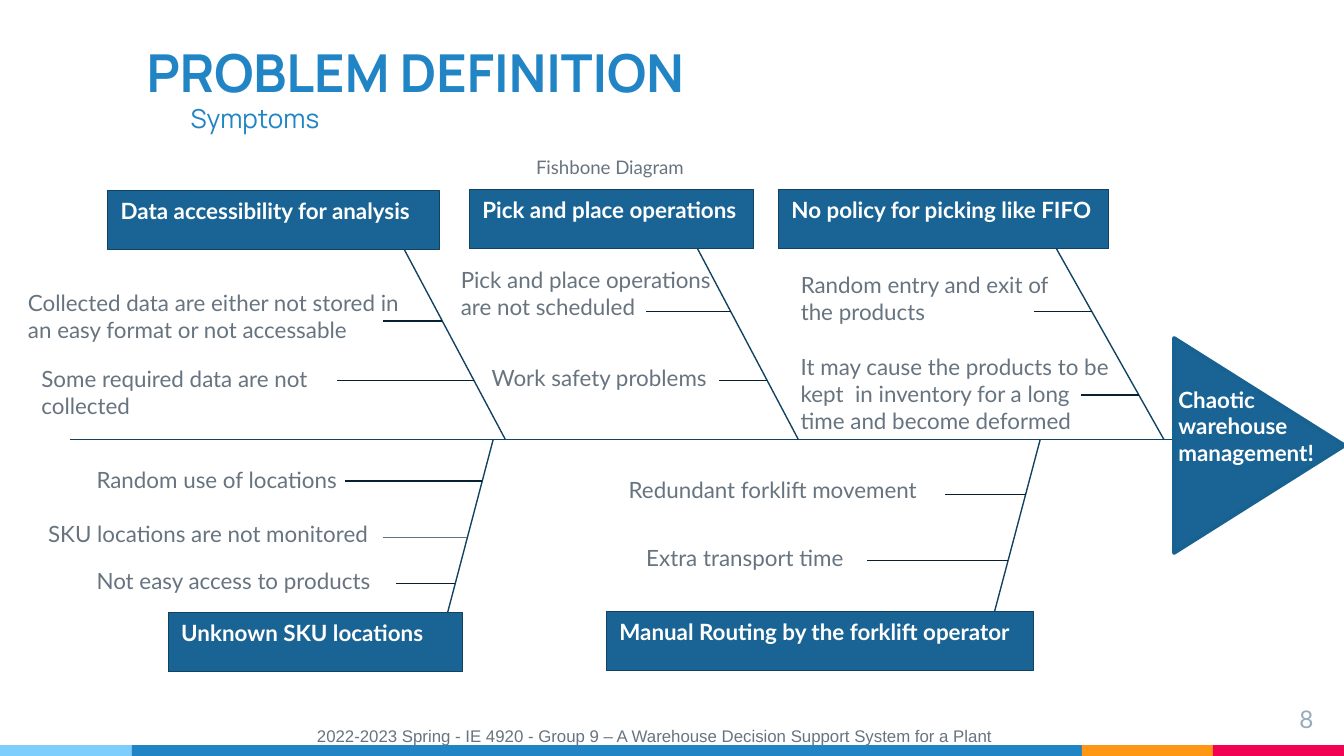
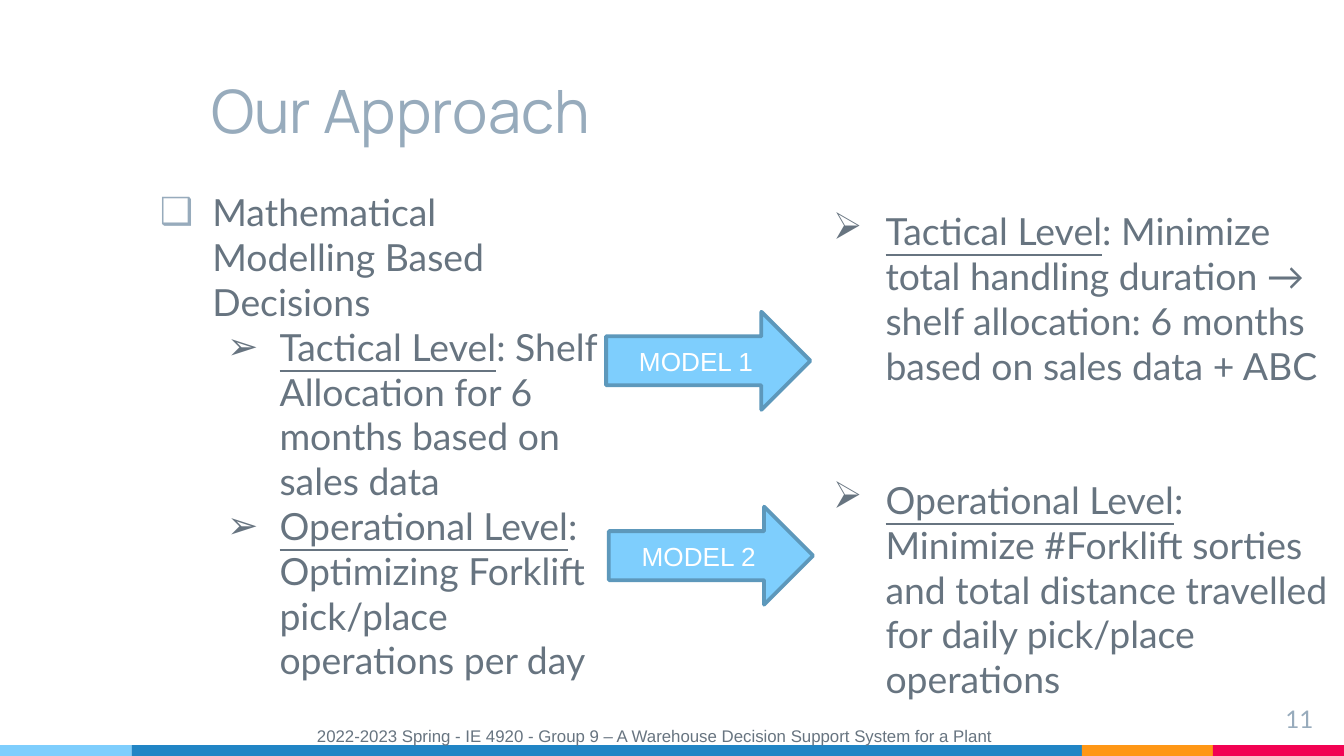
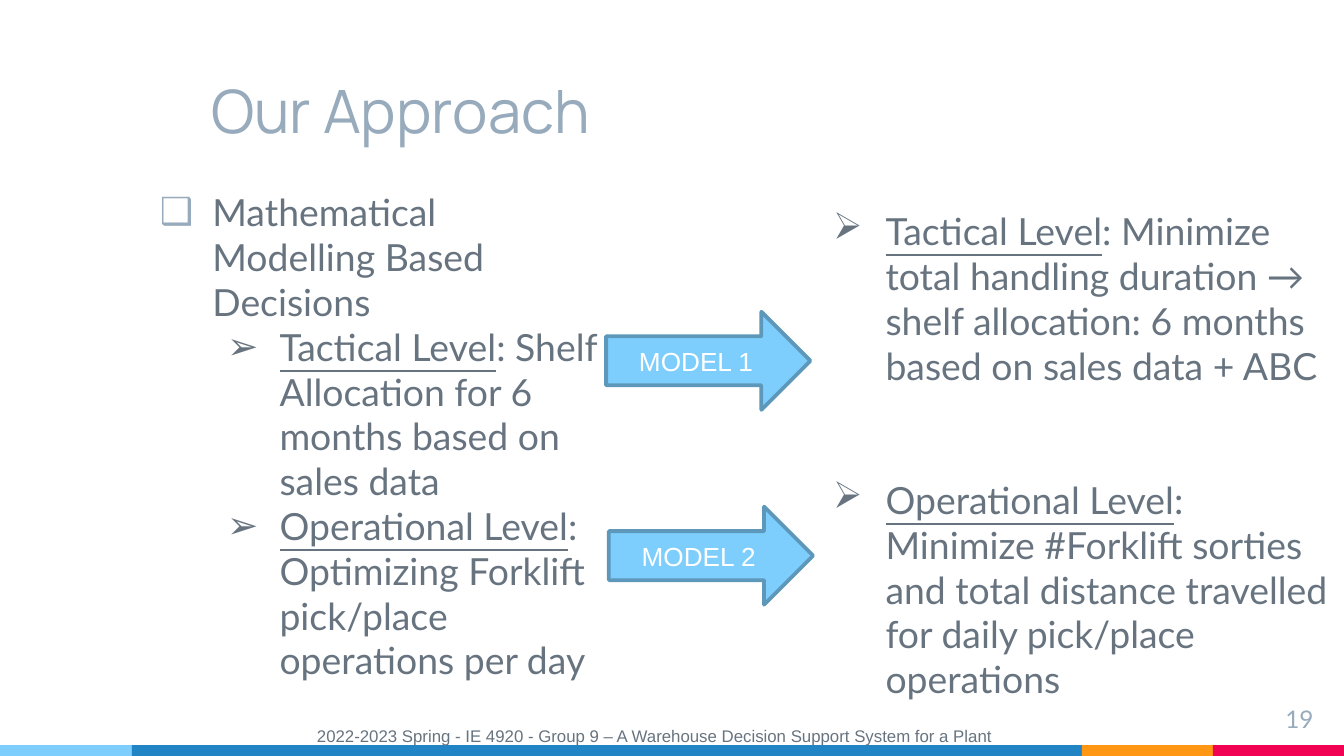
import typing

import lxml.etree
import pptx
import pptx.dml.color
import pptx.enum.shapes
import pptx.enum.text
import pptx.oxml.ns
import pptx.util

RGB = pptx.dml.color.RGBColor
SHAPE = pptx.enum.shapes.MSO_SHAPE
ALIGN = pptx.enum.text.PP_ALIGN
ANCHOR = pptx.enum.text.MSO_ANCHOR
FIT = pptx.enum.text.MSO_AUTO_SIZE

BLUE = RGB(0x21, 0x85, 0xC5)
SKY = RGB(0x7E, 0xCE, 0xFD)
ORANGE = RGB(0xFF, 0x97, 0x15)
PINK = RGB(0xF2, 0x02, 0x53)
NAVY = RGB(0x19, 0x64, 0x94)
NAVY_EDGE = RGB(0x18, 0x62, 0x92)
BONE = RGB(0x11, 0x42, 0x62)
TWIG = RGB(0x08, 0x21, 0x31)
ARROW_EDGE = RGB(0x5D, 0x98, 0xBB)
GREY = RGB(0x67, 0x74, 0x80)
DARK_GREY = RGB(0x64, 0x71, 0x7E)
PALE = RGB(0x97, 0xAB, 0xBC)
WHITE = RGB(0xFF, 0xFF, 0xFF)

SLIDE_WIDTH = pptx.util.Inches(10)
SLIDE_HEIGHT = pptx.util.Inches(5.625)
CELL = SLIDE_WIDTH / 100
ROWS = SLIDE_HEIGHT / CELL
BAND_HEIGHT = 0.8
SPINE_ROW = 32.7
HEAD_HEIGHT = 4.4
LIST_SIZE = 20
FOOTER = "2022-2023 Spring - IE 4920 - Group 9 – A Warehouse Decision Support System for a Plant"


class Cause(typing.NamedTuple):
    text: str
    left: float
    top: float
    width: float
    lines: int
    twig_left: float
    twig_row: float
    twig_color: RGB = TWIG


class Branch(typing.NamedTuple):
    label: str
    left: float
    top: float
    width: float
    root: float
    joint: float
    causes: list


BRANCHES = [
    Branch("Data accessibility for analysis", 8, 14.2, 24.7, 30.1, 37.6, [
        Cause("Collected data are either not stored in an easy format or not accessable",
              1.1, 21, 30.2, 2, 28.5, 23.9),
        Cause("Some required data are not collected", 2.1, 26.7, 22.9, 2, 25.1, 28.3),
    ]),
    Branch("Pick and place operations", 34.9, 14.1, 21.2, 51.9, 59.4, [
        Cause("Pick and place operations\nare not scheduled", 33.3, 19.3, 21.2, 2, 48.1, 23.2),
        Cause("Work safety problems", 35.6, 26.6, 19.4, 1, 53.5, 28.3),
    ]),
    Branch("No policy for picking like FIFO", 57.9, 14.1, 24.6, 78.6, 86.6, [
        Cause("Random entry and exit of the products", 58.6, 19.7, 22.8, 2, 76.9, 23.2),
        Cause("It may cause the products to be kept  in inventory for a long time and become deformed",
              58.6, 25.8, 25.6, 3, 80.4, 29.4),
    ]),
    Branch("Unknown SKU locations", 12.5, 45.6, 21.9, 33.3, 36.7, [
        Cause("Random use of locations", 6.2, 34.2, 20.7, 1, 25.7, 35.8),
        Cause("SKU locations are not monitored", 2.6, 38.2, 26.4, 1, 28.5, 40, DARK_GREY),
        Cause("Not easy access to products", 6.2, 41.7, 22.9, 1, 29.5, 43.4),
    ]),
    Branch("Manual Routing by the forklift operator", 45.1, 45.5, 31.8, 74, 77.4, [
        Cause("Redundant forklift movement", 45.8, 34.9, 25.6, 1, 70.3, 36.8),
        Cause("Extra transport time", 47.1, 40, 16.9, 1, 64.5, 41.7),
    ]),
]

DECISIONS = [
    ("Tactical Level", ": Shelf Allocation for 6 months based on sales data"),
    ("Operational Level", ": Optimizing Forklift pick/place operations per day"),
]
MODELS = [
    ("Tactical Level",
     ": Minimize total handling duration → shelf allocation: 6 months based on sales data + ABC"),
    ("Operational Level",
     ": Minimize #Forklift sorties and total distance travelled for daily pick/place operations"),
]


def cells(*lengths):
    return [pptx.util.Emu(round(length * CELL)) for length in lengths]


def style(paragraph, size, color, font="Lato", bold=False, align=ALIGN.LEFT):
    paragraph.alignment = align
    paragraph.space_before = pptx.util.Pt(0)
    paragraph.font.size = pptx.util.Pt(size)
    paragraph.font.name = font
    paragraph.font.bold = bold
    paragraph.font.color.rgb = color


def fill_text(frame, text, size, color, **look):
    frame.text = text
    for paragraph in frame.paragraphs:
        style(paragraph, size, color, **look)


def set_insets(frame, side=1, top=1):
    frame.margin_left, frame.margin_right, frame.margin_top, frame.margin_bottom = cells(
        side, side, top, 1)


def add_label(slide, place, text, size, color, wrap=True, roomy=False, **look):
    frame = slide.shapes.add_textbox(*cells(*place)).text_frame
    frame.word_wrap = wrap
    if roomy:
        set_insets(frame)
    else:
        frame.auto_size = FIT.SHAPE_TO_FIT_TEXT
    fill_text(frame, text, size, color, **look)


def add_block(slide, kind, place, fill, edge=None, edge_width=0.5):
    block = slide.shapes.add_shape(kind, *cells(*place))
    block.shadow.inherit = False
    block.fill.solid()
    block.fill.fore_color.rgb = fill
    if edge is None:
        block.line.fill.background()
    else:
        block.line.color.rgb = edge
        block.line.width = pptx.util.Pt(edge_width)
    return block


def add_line(slide, start, end, color):
    line = slide.shapes.add_connector(
        pptx.enum.shapes.MSO_CONNECTOR.STRAIGHT, *cells(*start, *end))
    line.line.color.rgb = color
    line.line.width = pptx.util.Pt(0.75)
    lxml.etree.SubElement(line._element.spPr, pptx.oxml.ns.qn("a:effectLst"))


def add_bands(prs, slide):
    tree = prs.slide_master.element.cSld.spTree
    left = 0
    for width, color in ((9.8, SKY), (70.7, BLUE), (9.75, ORANGE), (9.75, PINK)):
        band = add_block(slide, SHAPE.RECTANGLE,
                         (left, ROWS - BAND_HEIGHT, width, BAND_HEIGHT), color)
        tree.append(band._element)
        left += width


def place_holder(holder, place):
    holder.left, holder.top, holder.width, holder.height = cells(*place)
    frame = holder.text_frame
    frame.auto_size = FIT.NONE
    frame.word_wrap = True
    set_insets(frame)
    return frame


def start_slide(prs, layout, title, left, top, number, size, color, bold=False):
    slide = prs.slides.add_slide(prs.slide_layouts[layout])
    frame = place_holder(slide.shapes.title, (left, top, 70.7, 9.4))
    frame.vertical_anchor = ANCHOR.BOTTOM
    fill_text(frame, title, size, color, font="Manrope", bold=bold)
    add_label(slide, (92.7, 51.4, 6, 3.4), str(number), 13, PALE, roomy=True, align=ALIGN.RIGHT)
    add_label(slide, (22.6, 53.5, 54.8, 2.5), FOOTER, 9, GREY, font="Arial")
    return slide


def add_branch(slide, branch):
    above = branch.top < SPINE_ROW
    root_row = branch.top + HEAD_HEIGHT if above else branch.top
    head = add_block(slide, SHAPE.RECTANGLE,
                     (branch.left, branch.top, branch.width, HEAD_HEIGHT), NAVY, BONE)
    head.text_frame.vertical_anchor = ANCHOR.TOP
    fill_text(head.text_frame, branch.label, 12, WHITE, bold=True)
    add_line(slide, (branch.root, root_row), (branch.joint, SPINE_ROW), BONE)
    slope = (branch.joint - branch.root) / (SPINE_ROW - root_row)
    for cause in branch.causes:
        add_label(slide, (cause.left, cause.top, cause.width, 1 + 2 * cause.lines),
                  cause.text, 12, GREY)
        twig_end = branch.root + slope * (cause.twig_row - root_row)
        add_line(slide, (cause.twig_left, cause.twig_row), (twig_end, cause.twig_row),
                 cause.twig_color)


def add_bullet(paragraph, mark, color, margin):
    properties = paragraph._p.get_or_add_pPr()
    properties.set("marL", str(cells(margin)[0]))
    properties.set("indent", str(cells(-3.9)[0]))
    mark_color = lxml.etree.SubElement(properties, pptx.oxml.ns.qn("a:buClr"))
    lxml.etree.SubElement(mark_color, pptx.oxml.ns.qn("a:srgbClr"), val=str(color))
    lxml.etree.SubElement(properties, pptx.oxml.ns.qn("a:buChar"), char=mark)


def write_level(paragraph, level, detail):
    paragraph.level = 1
    add_bullet(paragraph, "➢", GREY, 10)
    style(paragraph, LIST_SIZE, GREY)
    heading = paragraph.add_run()
    heading.text = level
    heading.font.underline = True
    paragraph.add_run().text = detail


def add_decisions(slide):
    frame = place_holder(slide.placeholders[1], (9.8, 13.1, 35.8, 40.7))
    topic = frame.paragraphs[0]
    topic.text = "Mathematical Modelling Based Decisions"
    add_bullet(topic, "❑", PALE, 5)
    style(topic, LIST_SIZE, GREY)
    for level, detail in DECISIONS:
        write_level(frame.add_paragraph(), level, detail)


def add_models(slide):
    for index, left in enumerate((45.1, 45.3)):
        arrow = add_block(slide, SHAPE.RIGHT_ARROW, (left, 23.2 + 14.5 * index, 15.2, 7.3),
                          SKY, ARROW_EDGE, 2)
        arrow.text_frame.vertical_anchor = ANCHOR.MIDDLE
        fill_text(arrow.text_frame, f"MODEL {index + 1}", 14, WHITE,
                  font="Arial", align=ALIGN.CENTER)
    frame = slide.shapes.add_textbox(*cells(54.9, 11.2, 44.9, 40.7)).text_frame
    frame.word_wrap = True
    set_insets(frame, top=4.3)
    tactical, operational = frame.paragraphs[0], frame.add_paragraph()
    for paragraph, (level, detail) in zip((tactical, operational), MODELS):
        write_level(paragraph, level, detail)
    operational.space_before = pptx.util.Pt(48)


def build_fishbone(prs):
    slide = start_slide(prs, 5, "PROBLEM DEFINITION", 9.9, -0.7, 8, 28, BLUE, bold=True)
    add_bands(prs, slide)
    add_label(slide, (13.2, 6.6, 52.9, 5), "Symptoms", 14, BLUE, roomy=True, font="Manrope")
    add_label(slide, (38.9, 11.1, 13.4, 2.7), "Fishbone Diagram", 10, GREY)
    add_line(slide, (5.2, SPINE_ROW), (91, SPINE_ROW), BONE)
    for branch in BRANCHES:
        add_branch(slide, branch)
    effect = add_block(slide, SHAPE.ISOSCELES_TRIANGLE, (85.7, 26.8, 16, 12.7),
                       NAVY, NAVY_EDGE, 2)
    effect.rotation = 90
    add_label(slide, (86.7, 28.2, 13.3, 7.1), "Chaotic\nwarehouse\nmanagement!", 12, WHITE,
              wrap=False, bold=True)


def build_approach(prs, number):
    slide = start_slide(prs, 1, "Our Approach", 14.7, 2.4, number, 32, PALE)
    add_decisions(slide)
    add_models(slide)


def main():
    prs = pptx.Presentation()
    prs.slide_width = SLIDE_WIDTH
    prs.slide_height = SLIDE_HEIGHT
    build_fishbone(prs)
    for number in (11, 19):
        build_approach(prs, number)
    prs.save("out.pptx")


if __name__ == "__main__":
    main()
